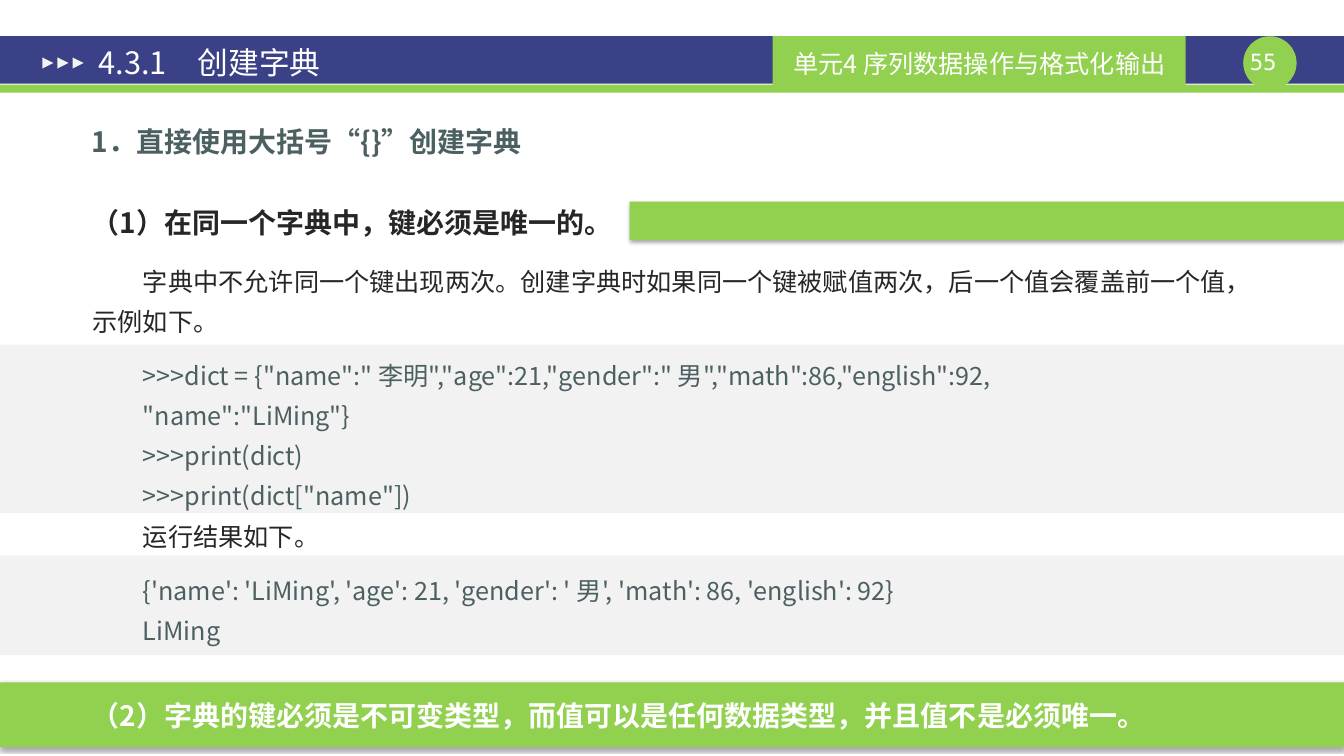
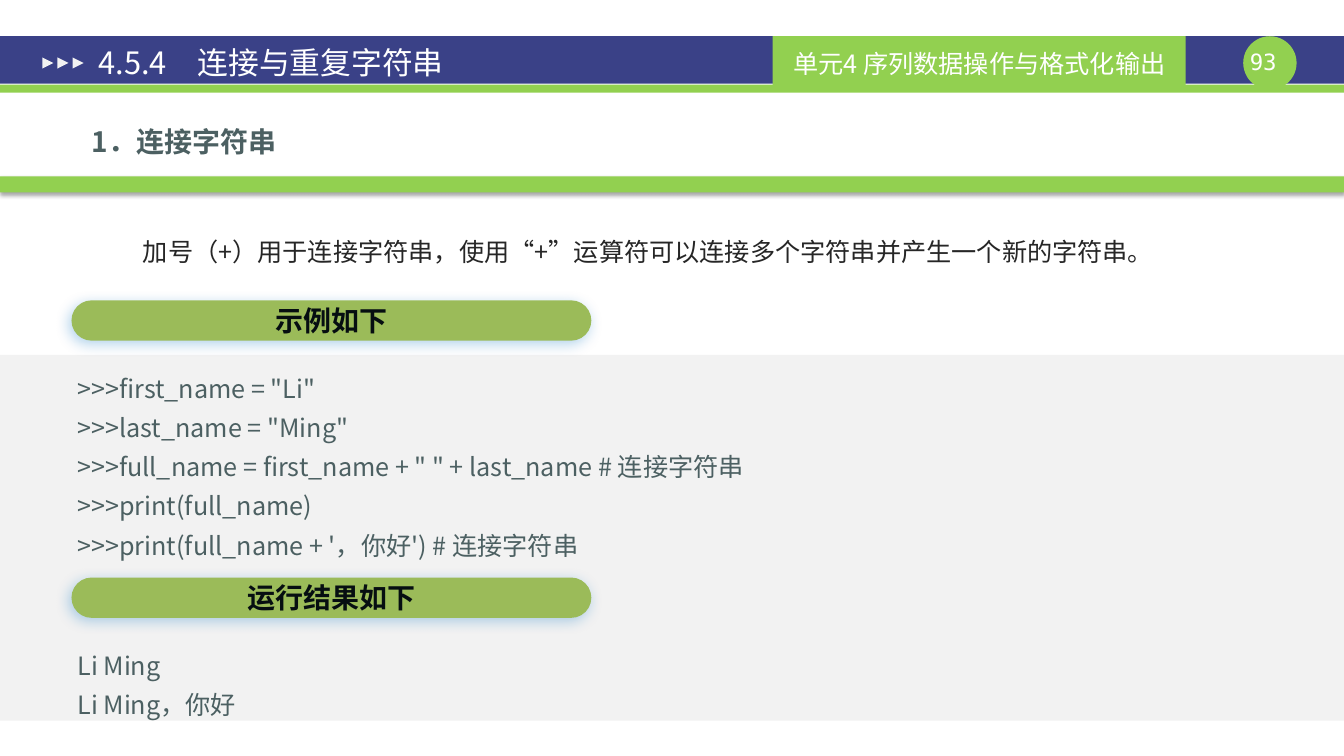
import pptx
import pptx.util
import pptx.dml.color
import pptx.enum.shapes
import pptx.enum.text
import pptx.oxml.ns
from lxml import etree

Inches = pptx.util.Inches
Pt = pptx.util.Pt
SHAPE = pptx.enum.shapes.MSO_SHAPE
ALIGN = pptx.enum.text.PP_ALIGN
ANCHOR = pptx.enum.text.MSO_ANCHOR
AUTO = pptx.enum.text.MSO_AUTO_SIZE
qn = pptx.oxml.ns.qn

WIDTH, HEIGHT = 13.34, 7.5
FONT, NUMBER_FONT = "Noto Sans CJK SC", "DejaVu Sans Mono"
CHAPTER = "单元4 序列数据操作与格式化输出"
COLORS = {
    "navy": "3A4187", "green": "92D050", "olive": "9BBB59",
    "gray": "F2F2F2", "white": "FFFFFF", "black": "000000",
    "blue": "0070C0", "ink": "262626", "slate": "4C6062", "dark": "060E11",
}
BAR_SHADOW = ("black", 35, 3.1, 1.8, 90)
PILL_SHADOW = ("blue", 30, 10, 3, 135)


def rgb(name):
    return pptx.dml.color.RGBColor.from_string(COLORS[name])


def write(p, text, size=18, color="ink", bold=False, font=FONT, align=None,
          spacing=None, indent=0, before=0):
    if indent:
        p._p.get_or_add_pPr().set("indent", str(Inches(indent)))
    if align is not None:
        p.alignment = align
    if spacing:
        p.line_spacing = spacing
    p.space_before = Pt(before)
    r = p.add_run()
    r.text = text
    r.font.size = Pt(size)
    r.font.bold = bold
    r.font.name = font
    r.font.color.rgb = rgb(color)
    etree.SubElement(r._r.get_or_add_rPr(), qn("a:ea"), typeface=font)


class Deck:
    def __init__(self):
        self.prs = pptx.Presentation()
        self.prs.slide_width = Inches(WIDTH)
        self.prs.slide_height = Inches(HEIGHT)
        self.s = None

    def slide(self, title, number):
        self.s = self.prs.slides.add_slide(self.prs.slide_layouts[5])
        self.band(0.36, 0.47, "navy")
        self.band(0.84, 0.08, "green")
        self.shape(SHAPE.OVAL, 12.34, 0.36, 0.53, 0.53, "green")
        tf = self.text_frame(12.34, 0.48, 0.53, 0.27)
        tf.margin_left = tf.margin_right = tf.margin_top = tf.margin_bottom = 0
        write(tf.paragraphs[0], f"{number} ", size=16, color="white",
              font=NUMBER_FONT, align=ALIGN.CENTER)
        tag = self.shape(SHAPE.RECTANGLE, 7.67, 0.36, 4.1, 0.54, "green")
        self.label(tag, CHAPTER, color="white")
        for i in range(3):
            arrow = self.shape(SHAPE.ISOSCELES_TRIANGLE, 0.42 + 0.15 * i, 0.57,
                               0.11, 0.11, "gray")
            arrow.rotation = 90
        self.title(title)

    def title(self, text):
        sp = self.s.shapes.title
        sp.left, sp.top = Inches(0.85), Inches(0.4)
        sp.width, sp.height = Inches(8.07), Inches(0.44)
        sp.element.getparent().append(sp.element)
        tf = sp.text_frame
        tf.auto_size = AUTO.NONE
        tf.vertical_anchor = ANCHOR.MIDDLE
        tf.margin_left = tf.margin_right = Inches(0.13)
        tf.margin_top = tf.margin_bottom = Inches(0.07)
        write(tf.paragraphs[0], text, size=22, color="white", align=ALIGN.LEFT)

    def shape(self, kind, left, top, width, height, fill, shadow=None):
        sp = self.s.shapes.add_shape(kind, Inches(left), Inches(top),
                                     Inches(width), Inches(height))
        sp.fill.solid()
        sp.fill.fore_color.rgb = rgb(fill)
        sp.line.fill.background()
        sp.shadow.inherit = False
        if shadow:
            self.cast(sp, *shadow)
        return sp

    def cast(self, sp, color, alpha, blur, dist, angle):
        effects = sp.element.spPr.find(qn("a:effectLst"))
        outer = etree.SubElement(effects, qn("a:outerShdw"), blurRad=str(Pt(blur)),
                                 dist=str(Pt(dist)), dir=str(angle * 60000),
                                 algn="ctr", rotWithShape="0")
        clr = etree.SubElement(outer, qn("a:srgbClr"), val=COLORS[color])
        etree.SubElement(clr, qn("a:alpha"), val=str(alpha * 1000))

    def band(self, top, height, fill, left=0, shadow=None):
        self.shape(SHAPE.RECTANGLE, left, top, WIDTH - left, height, fill, shadow)

    def label(self, sp, text, **fmt):
        sp.text_frame.vertical_anchor = ANCHOR.MIDDLE
        write(sp.text_frame.paragraphs[0], text, align=ALIGN.CENTER, **fmt)

    def pill(self, top, text):
        sp = self.shape(SHAPE.ROUNDED_RECTANGLE, 0.71, top, 5.16, 0.4, "olive",
                        PILL_SHADOW)
        sp.adjustments[0] = 0.5
        self.label(sp, text, size=20, color="dark", bold=True)

    def text_frame(self, left, top, width, height):
        tb = self.s.shapes.add_textbox(Inches(left), Inches(top),
                                       Inches(width), Inches(height))
        tf = tb.text_frame
        tf.word_wrap = True
        tf.auto_size = AUTO.SHAPE_TO_FIT_TEXT
        return tf

    def text(self, left, top, width, height, blocks, spacing=1.32):
        tf = self.text_frame(left, top, width, height)
        p = tf.paragraphs[0]
        for lines, color, gap in blocks:
            for i, line in enumerate(lines):
                if p is None:
                    p = tf.add_paragraph()
                write(p, line, color=color, spacing=spacing, indent=0.5,
                      before=0 if i else gap)
                p = None

    def heading(self, top, text, color="slate"):
        tf = self.text_frame(0.31, top, 12.48, 0.5)
        write(tf.paragraphs[0], text, size=20, color=color, bold=True,
              spacing=1.32, indent=0.5)

    def code(self, top, height, lines):
        self.text(0.17, top, 12, height, [(lines, "slate", 0)], spacing=1.3)


def create_dict_slide(deck):
    deck.slide("4.3.1　创建字典", 55)
    deck.band(5.51, 0.99, "gray")
    deck.band(3.42, 1.67, "gray")
    deck.heading(1.08, "1．直接使用大括号“{}”创建字典")
    deck.band(2, 0.38, "green", left=6.25, shadow=BAR_SHADOW)
    deck.heading(1.88, "（1）在同一个字典中，键必须是唯一的。", "ink")
    deck.text(0.82, 2.5, 11.51, 3.99, [
        (["字典中不允许同一个键出现两次。创建字典时如果同一个键被赋值两次，"
          "后一个值会覆盖前一个值，示例如下。"], "ink", 0),
        (['>>>dict = {"name":" 李明","age":21,"gender":" 男","math":86,"english":92,',
          '"name":"LiMing"}', ">>>print(dict)", '>>>print(dict["name"])'], "slate", 10),
        (["运行结果如下。"], "ink", 1),
        (["{'name': 'LiMing', 'age': 21, 'gender': ' 男', 'math': 86, 'english': 92}",
          "LiMing"], "slate", 10),
    ])
    deck.band(6.77, 0.64, "green", shadow=BAR_SHADOW)
    deck.heading(6.77, "（2）字典的键必须是不可变类型，而值可以是任何数据类型，"
                 "并且值不是必须唯一。", "white")


def join_strings_slide(deck):
    deck.slide("4.5.4　连接与重复字符串", 93)
    deck.band(1.75, 0.16, "green", shadow=BAR_SHADOW)
    deck.heading(1.08, "1．连接字符串")
    deck.text(0.82, 2.2, 11.51, 0.46, [
        (["加号（+）用于连接字符串，使用“+”运算符可以连接多个字符串"
          "并产生一个新的字符串。"], "ink", 0),
    ])
    deck.band(3.52, 3.63, "gray")
    deck.code(3.56, 2.07, [
        '>>>first_name = "Li"',
        '>>>last_name = "Ming"',
        '>>>full_name = first_name + " " + last_name # 连接字符串',
        ">>>print(full_name)",
        ">>>print(full_name + '，你好') # 连接字符串",
    ])
    deck.pill(2.98, "示例如下")
    deck.pill(5.73, "运行结果如下")
    deck.code(6.31, 0.85, ["Li Ming", "Li Ming，你好"])


def main():
    deck = Deck()
    create_dict_slide(deck)
    join_strings_slide(deck)
    deck.prs.save("out.pptx")


if __name__ == "__main__":
    main()
